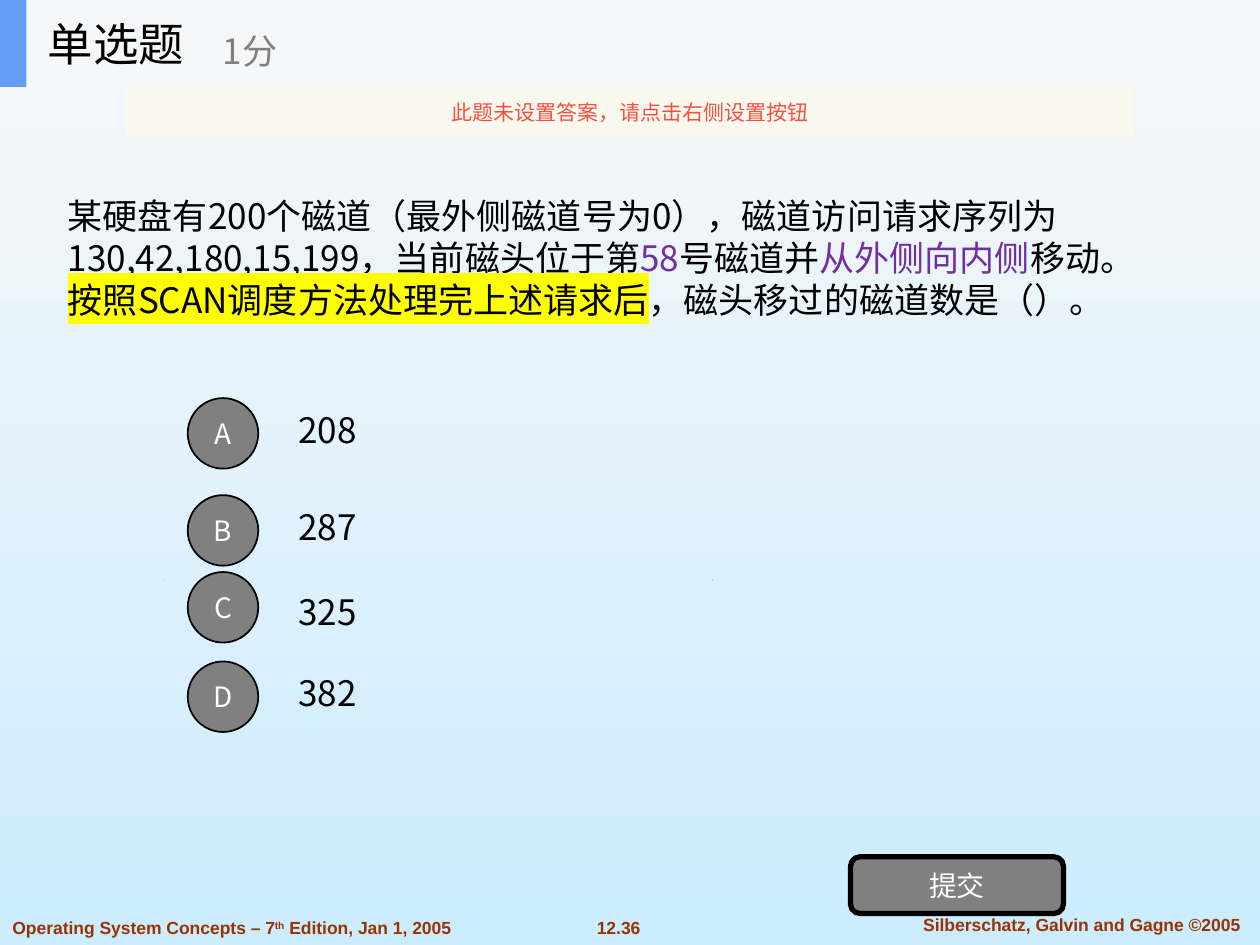
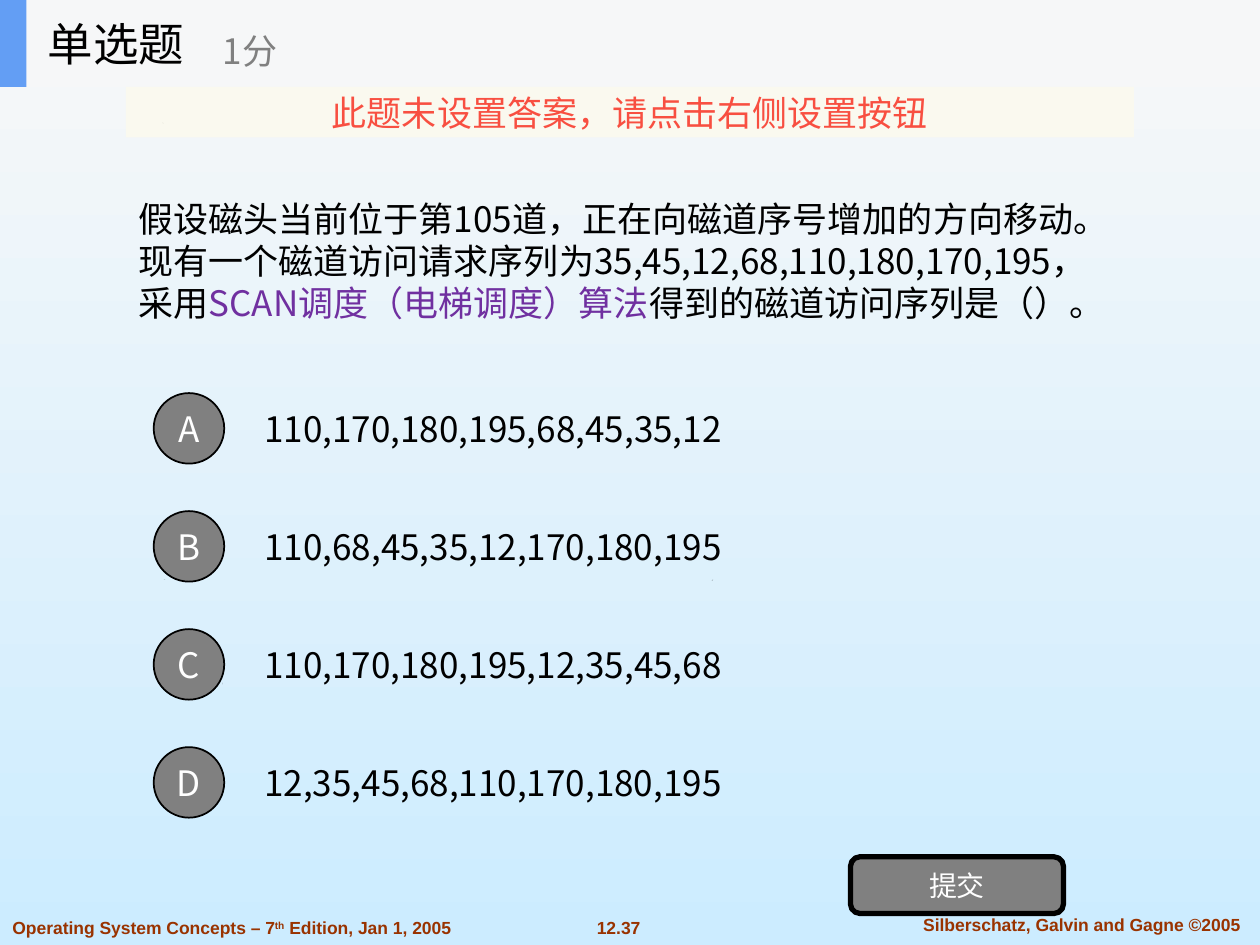
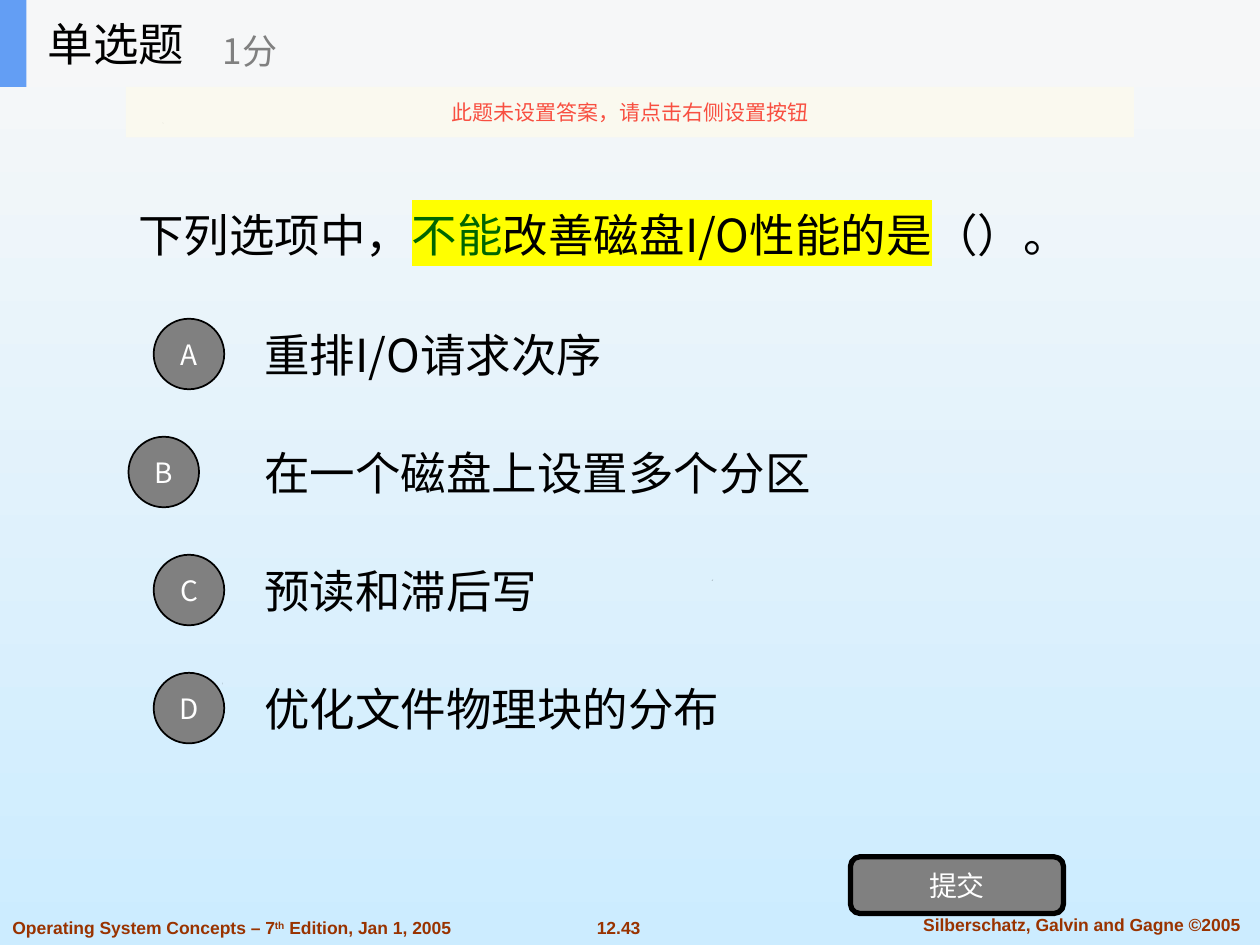
from dataclasses import dataclass

from lxml.etree import SubElement
from pptx import Presentation
from pptx.dml.color import RGBColor
from pptx.enum.shapes import MSO_SHAPE as Preset
from pptx.enum.text import MSO_ANCHOR as Anchor, MSO_AUTO_SIZE as AutoSize, PP_ALIGN as Align
from pptx.oxml.ns import qn
from pptx.oxml.xmlchemy import OxmlElement
from pptx.util import Inches, Pt

BLACK = RGBColor(0x00, 0x00, 0x00)
WHITE = RGBColor(0xFF, 0xFF, 0xFF)
GREY = RGBColor(0x80, 0x80, 0x80)
PURPLE = RGBColor(0x70, 0x30, 0xA0)
GREEN = RGBColor(0x00, 0x66, 0x00)
YELLOW = RGBColor(0xFF, 0xFF, 0x00)
RUST = RGBColor(0x99, 0x33, 0x00)
RED = RGBColor(0xF8, 0x4F, 0x41)
CREAM = RGBColor(0xFB, 0xFA, 0xEF)
HEADER_GREY = RGBColor(0xF6, 0xF7, 0xF8)
ACCENT_BLUE = RGBColor(0x63, 0x9E, 0xF4)
SKY_TOP = RGBColor(0xF8, 0xF8, 0xF8)
SKY_BOTTOM = RGBColor(0xCC, 0xEC, 0xFF)

CJK_FONT = "Noto Sans CJK SC"
FOOTER_FONT = "Arial"
BADGE_SIZE = 0.56
OPTIONS_SPAN = 2.81

SPECKS = [
    ([(176, 543), (177, 542), (176, 543)], 139.4),
    ([(130, 460), (131, 460), (130, 460)], 177.8),
    ([(565, 461), (566, 460), (565, 461)], 0),
    ([(129, 98), (129, 97), (130, 98)], 0),
]


@dataclass
class Option:
    """One answer with the place of its row and its letter badge."""
    answer: str
    top: float
    badge_left: float = 1.22
    badge_drop: float = 0.07


@dataclass
class Question:
    """One quiz slide: stem paragraphs hold (text, colour, highlight) runs."""
    page: str
    stem: list
    stem_box: tuple
    options: list
    answer_box: tuple = (2, 7, 0.7)
    text_size: int = 20
    badge_text_size: int = 16
    notice_size: int = 12


def even_options(top, answers):
    """Space the answers evenly from the given top."""
    pitch = OPTIONS_SPAN / (len(answers) - 1)
    return [Option(answer, top + row * pitch) for row, answer in enumerate(answers)]


def style_run(run, size, color, highlight=None, face=CJK_FONT, bold=False):
    """Format one run for Latin and East Asian text."""
    run.font.size, run.font.name, run.font.bold = Pt(size), face, bold
    run.font.color.rgb = color
    latin = run.font._element.find(qn("a:latin"))
    east_asian = OxmlElement("a:ea")
    east_asian.set("typeface", face)
    latin.addnext(east_asian)
    if highlight is not None:
        marker = OxmlElement("a:highlight")
        SubElement(marker, qn("a:srgbClr")).set("val", str(highlight))
        latin.addprevious(marker)


def write(shape, text, size, color, align=Align.LEFT, **run_style):
    """Fill a shape with one vertically centred line."""
    frame = shape.text_frame
    frame.text = text
    frame.word_wrap, frame.auto_size = True, AutoSize.NONE
    frame.vertical_anchor = Anchor.MIDDLE
    frame.paragraphs[0].alignment = align
    style_run(frame.paragraphs[0].runs[0], size, color, **run_style)
    return frame


def add_box(slide, box):
    """Add a text box at left, top, width, height in inches."""
    return slide.shapes.add_textbox(*map(Inches, box))


def paint(shape, fill, line_width=0):
    """Fill a shape without shadow, outlined in black if a width is given."""
    shape.shadow.inherit = False
    shape.fill.solid()
    shape.fill.fore_color.rgb = fill
    if line_width:
        shape.line.color.rgb = BLACK
        shape.line.width = Pt(line_width)
    else:
        shape.line.fill.background()


def add_block(slide, preset, box, fill, line_width=0):
    """Add a flat filled preset shape."""
    block = slide.shapes.add_shape(preset, *map(Inches, box))
    paint(block, fill, line_width)
    return block


def add_specks(slide):
    """Scatter the tiny black marks, given in hundredths of an inch."""
    for (start, *corners), turn in SPECKS:
        outline = slide.shapes.build_freeform(*start, scale=Inches(0.01))
        outline.add_line_segments(corners, close=True)
        speck = outline.convert_to_shape()
        speck.rotation = turn
        paint(speck, BLACK)


def add_footer(slide, page):
    """Write the book edition, page number and copyright."""
    style = {"face": FOOTER_FONT, "bold": True}
    write(add_box(slide, (4.41, 7.23, 1, 0.27)), page, 10, RUST, Align.CENTER, **style)
    write(add_box(slide, (7.1, 7.2, 2.97, 0.27)), "Silberschatz, Galvin and Gagne ©2005",
          10, RUST, Align.CENTER, **style)
    edition = write(add_box(slide, (0, 7.23, 3.69, 0.27)), "Operating System Concepts – 7",
                    10, RUST, **style).paragraphs[0]
    for text in ("th", " Edition, Jan 1, 2005"):
        run = edition.add_run()
        run.text = text
        style_run(run, 10, RUST, **style)
    edition.runs[1].font._element.set("baseline", "30000")


def add_header(slide, notice_size):
    """Draw the header band with title and score, and the notice below it."""
    height = 0.69
    add_block(slide, Preset.RECTANGLE, (0, 0, 10, height), HEADER_GREY)
    add_block(slide, Preset.RECTANGLE, (0, 0, 0.21, height), ACCENT_BLUE)
    title = slide.shapes.title
    title.left, title.top, title.width, title.height = map(Inches, (0.28, 0, 2.08, height))
    slide.shapes._spTree.append(title._element)
    write(title, "单选题", 26, BLACK)
    write(add_box(slide, (1.67, 0.12, 2.5, 0.56)), "1分", 20, GREY)
    notice = add_block(slide, Preset.RECTANGLE, (1, height, 8, 0.4), CREAM)
    tint = notice.fill._xPr.find(qn("a:solidFill"))[0]
    SubElement(tint, qn("a:alpha")).set("val", "90000")
    write(notice, "此题未设置答案，请点击右侧设置按钮", notice_size, RED, Align.CENTER)


def add_stem(slide, box, paragraphs, size):
    """Write the question text with its coloured and highlighted parts."""
    frame = add_box(slide, box).text_frame
    frame.word_wrap, frame.vertical_anchor = True, Anchor.MIDDLE
    for index, parts in enumerate(paragraphs):
        paragraph = frame.add_paragraph() if index else frame.paragraphs[0]
        paragraph._p.get_or_add_pPr().set("hangingPunct", "0")
        for text, color, highlight in parts:
            run = paragraph.add_run()
            run.text = text
            style_run(run, size, color, highlight)


def add_options(slide, question):
    """Place each answer beside its round letter badge."""
    left, width, height = question.answer_box
    for letter, option in zip("ABCD", question.options):
        answer = add_box(slide, (left, option.top, width, height))
        write(answer, option.answer, question.text_size, BLACK)
        badge_box = (option.badge_left, option.top + option.badge_drop, BADGE_SIZE, BADGE_SIZE)
        badge = add_block(slide, Preset.OVAL, badge_box, GREY, 1)
        frame = write(badge, letter, question.badge_text_size, WHITE, Align.CENTER)
        frame.margin_left = frame.margin_right = 0


def add_question(deck, question):
    """Build one quiz slide."""
    slide = deck.slides.add_slide(deck.slide_layouts[5])
    add_specks(slide)
    add_footer(slide, question.page)
    add_header(slide, question.notice_size)
    add_stem(slide, question.stem_box, question.stem, question.text_size)
    add_options(slide, question)
    submit = add_block(slide, Preset.ROUNDED_RECTANGLE, (6.75, 6.8, 1.69, 0.45), GREY, 3)
    write(submit, "提交", 16, WHITE, Align.CENTER)


def paint_background(deck):
    """Give the master a vertical gradient."""
    sky = deck.slide_master.background.fill
    sky.gradient()
    sky.gradient_angle = 270
    for stop, color, position in zip(sky.gradient_stops, (SKY_TOP, SKY_BOTTOM), (0, 1)):
        stop.color.rgb = color
        stop.position = position


SEEK_DISTANCE = Question(
    page="12.36",
    stem_box=(0.44, 1.29, 9.11, 1.51),
    stem=[
        [("某硬盘有200个磁道（最外侧磁道号为0），磁道访问请求序列为130,42,180,15,199，当前磁头位于第", BLACK, None),
         ("58", PURPLE, None), ("号磁道并", BLACK, None),
         ("从外侧向内侧", PURPLE, None), ("移动。", BLACK, None)],
        [("按照SCAN调度方法处理完上述请求后", BLACK, YELLOW),
         ("，磁头移过的磁道数是（）。", BLACK, None)],
    ],
    answer_box=(2.27, 1.76, 0.63),
    options=[Option("208", 3.09, 1.49), Option("287", 3.86, 1.49),
             Option("325", 4.54, 1.49, 0), Option("382", 5.18, 1.49)],
)

SCAN_ORDER = Question(
    page="12.37",
    stem_box=(1, 1.2, 8, 1.74),
    stem=[[
        ("假设磁头当前位于第105道，正在向磁道序号增加的方向移动。现有一个磁道访问请求序列为"
         "35,45,12,68,110,180,170,195，采用", BLACK, None),
        ("SCAN调度（电梯调度）算法", PURPLE, None),
        ("得到的磁道访问序列是（）。", BLACK, None),
    ]],
    options=even_options(3.05, ["110,170,180,195,68,45,35,12", "110,68,45,35,12,170,180,195",
                                "110,170,180,195,12,35,45,68", "12,35,45,68,110,170,180,195"]),
    badge_text_size=20,
    notice_size=20,
)

DISK_PERFORMANCE = Question(
    page="12.43",
    stem_box=(1, 0.69, 8, 2.34),
    stem=[[
        ("下列选项中，", BLACK, None), ("不能", GREEN, YELLOW),
        ("改善磁盘I/O性能的是", BLACK, YELLOW), ("（）。", BLACK, None),
    ]],
    options=even_options(2.46, ["重排I/O请求次序", "在一个磁盘上设置多个分区",
                                "预读和滞后写", "优化文件物理块的分布"]),
    text_size=26,
)
DISK_PERFORMANCE.options[1].badge_left = 1.02


def main():
    """Build and save the quiz deck."""
    deck = Presentation()
    deck.slide_width, deck.slide_height = Inches(10), Inches(7.5)
    paint_background(deck)
    for question in (SEEK_DISTANCE, SCAN_ORDER, DISK_PERFORMANCE):
        add_question(deck, question)
    deck.save("out.pptx")


if __name__ == "__main__":
    main()
